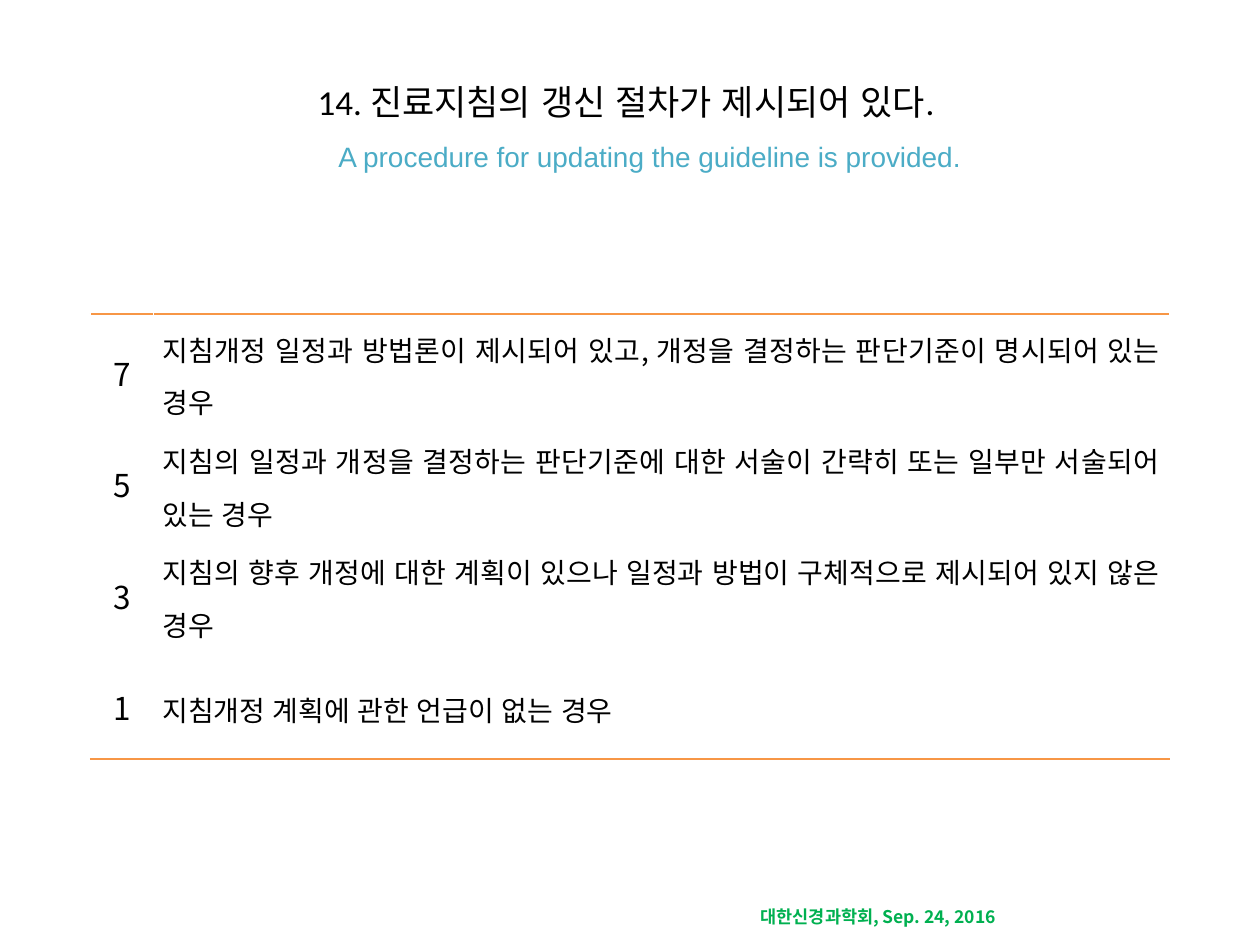
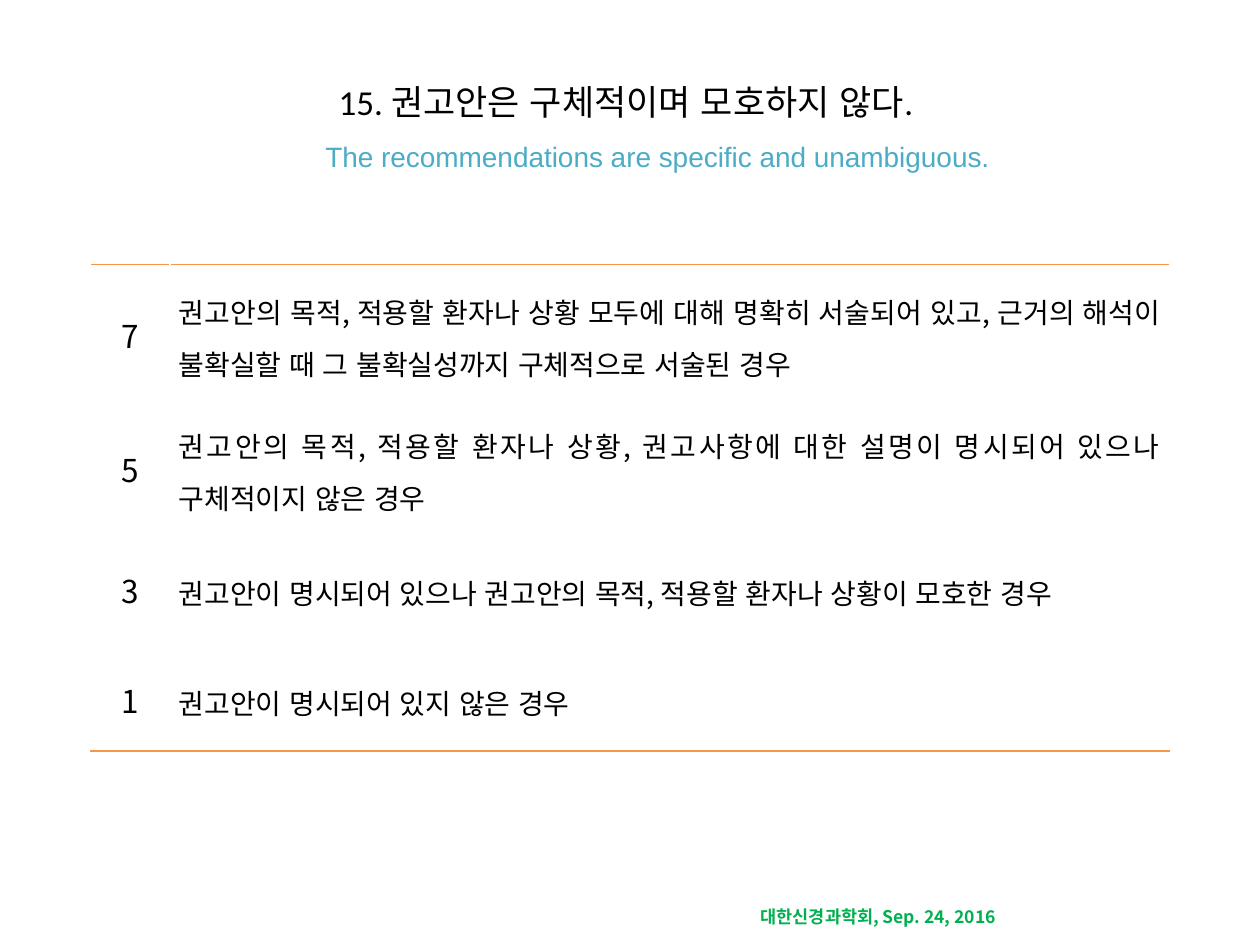
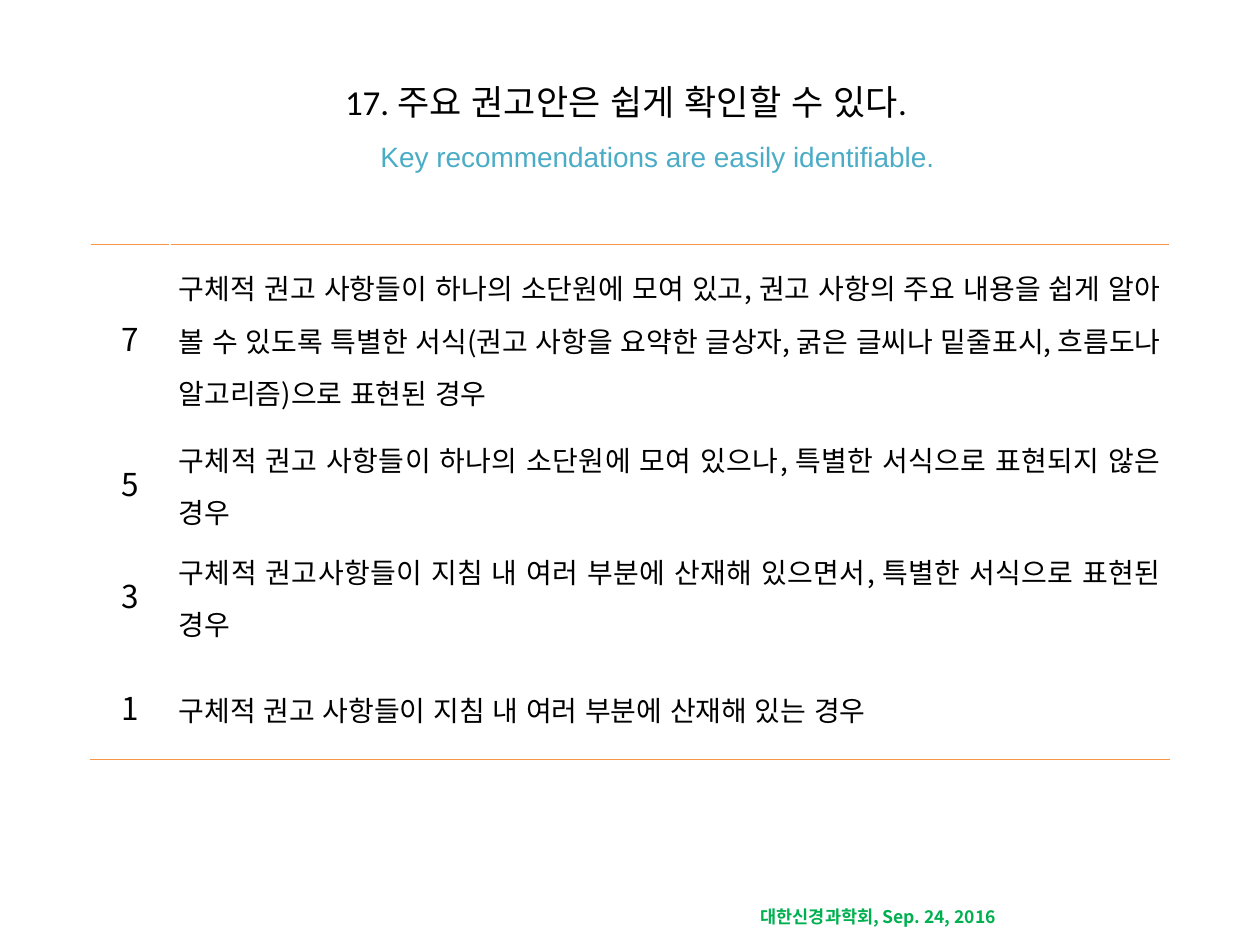
from lxml import etree
from pptx import Presentation
from pptx.dml.color import RGBColor
from pptx.enum.lang import MSO_LANGUAGE_ID as Language
from pptx.enum.text import MSO_ANCHOR as Anchor, PP_ALIGN as Align
from pptx.oxml.ns import qn
from pptx.util import Pt

KOREAN_FONT = "Noto Sans CJK KR"
BLACK, TEAL, GREEN, ORANGE = "000000", "4BACC6", "00B050", "F79646"
TABLE_LEFT, TABLE_WIDTH = 51.84, 616.32
FOOTER = "대한신경과학회, Sep. 24, 2016"

TITLE_STYLE = {"size": 20, "name": "Calibri", "color": BLACK}
SUBTITLE_STYLE = {"size": 16, "name": "Arial", "color": TEAL}
FOOTER_STYLE = {"size": 10, "name": KOREAN_FONT, "color": GREEN, "bold": True}
SCORE_STYLE = {"size": 18, "name": KOREAN_FONT, "color": BLACK}
CRITERION_STYLE = {"size": 16, "name": KOREAN_FONT, "color": BLACK}
SCORE_FORMAT = {"alignment": Align.CENTER, "line_spacing": 1.15, "space_after": Pt(8)}
CRITERION_FORMAT = {"alignment": Align.JUSTIFY, "line_spacing": 1.3}
CELL_FORMAT = {
    "vertical_anchor": Anchor.MIDDLE,
    "margin_left": Pt(5),
    "margin_right": Pt(5),
    "margin_top": 0,
    "margin_bottom": 0,
}

ITEMS = [
    {
        "title": "14. 진료지침의 갱신 절차가 제시되어 있다. ",
        "subtitle": "A procedure for updating the guideline is provided. ",
        "indent": 27,
        "top": 179.3,
        "score_width": 36,
        "row_heights": [63.6] * 4,
        "criteria": {
            7: "지침개정 일정과 방법론이 제시되어 있고, 개정을 결정하는 판단기준이 명시되어 있는 경우",
            5: "지침의 일정과 개정을 결정하는 판단기준에 대한 서술이 간략히 또는 일부만 서술되어 있는 경우",
            3: "지침의 향후 개정에 대한 계획이 있으나 일정과 방법이 구체적으로 제시되어 있지 않은 경우 ",
            1: "지침개정 계획에 관한 언급이 없는 경우",
        },
    },
    {
        "title": "15. 권고안은 구체적이며 모호하지 않다. ",
        "subtitle": "The recommendations are specific and unambiguous. ",
        "indent": 36,
        "top": 151,
        "score_width": 45.36,
        "row_heights": [76.5, 76.5, 62.6, 62.6],
        "criteria": {
            7: "권고안의 목적, 적용할 환자나 상황 모두에 대해 명확히 서술되어 있고, 근거의 해석이 불확실할 때 그 불확실성까지 구체적으로 서술된 경우",
            5: "권고안의 목적, 적용할 환자나 상황, 권고사항에 대한 설명이 명시되어 있으나 구체적이지 않은 경우",
            3: "권고안이 명시되어 있으나 권고안의 목적, 적용할 환자나 상황이 모호한 경우",
            1: "권고안이 명시되어 있지 않은 경우",
        },
    },
    {
        "title": "17. 주요 권고안은 쉽게 확인할 수 있다. ",
        "subtitle": "Key recommendations are easily identifiable. ",
        "indent": 36,
        "top": 139.6,
        "score_width": 45.36,
        "row_heights": [102.4, 64, 64, 64],
        "criteria": {
            7: "구체적 권고 사항들이 하나의 소단원에 모여 있고, 권고 사항의 주요 내용을 쉽게 알아 볼 수 있도록 특별한 서식(권고 사항을 요약한 글상자, 굵은 글씨나 밑줄표시, 흐름도나 알고리즘)으로 표현된 경우",
            5: "구체적 권고 사항들이 하나의 소단원에 모여 있으나, 특별한 서식으로 표현되지 않은 경우",
            3: "구체적 권고사항들이 지침 내 여러 부분에 산재해 있으면서, 특별한 서식으로 표현된 경우 ",
            1: "구체적 권고 사항들이 지침 내 여러 부분에 산재해 있는 경우",
        },
    },
]


def rgb(value):
    """Turn a hex string into a colour."""
    return RGBColor.from_string(value)


def set_attributes(target, values):
    """Set each named attribute of the target."""
    for name, value in values.items():
        setattr(target, name, value)


def add_run(paragraph, text, style):
    """Add a run of text in the given style."""
    run = paragraph.add_run()
    run.text = text
    font = run.font
    font.size = Pt(style["size"])
    font.bold = style.get("bold", False)
    font.color.rgb = rgb(style["color"])
    font.name = style["name"]
    font.language_id = Language.KOREAN
    if style["name"] == KOREAN_FONT:
        properties = run._r.get_or_add_rPr()
        etree.SubElement(properties, qn("a:ea"), typeface=KOREAN_FONT)


def add_text_box(slide, left, top, width, height, anchor=Anchor.TOP):
    """Add a wrapping text box and return its first paragraph."""
    box = slide.shapes.add_textbox(Pt(left), Pt(top), Pt(width), Pt(height))
    set_attributes(box.text_frame, {"word_wrap": True, "vertical_anchor": anchor})
    return box.text_frame.paragraphs[0]


def add_title(slide, title, subtitle, indent):
    """Add the Korean title with its English line below."""
    paragraph = add_text_box(slide, 36, 21.6, 648, 90, Anchor.MIDDLE)
    set_attributes(paragraph, {"alignment": Align.CENTER, "line_spacing": 1.5})
    properties = paragraph._p.get_or_add_pPr()
    properties.set("marL", str(Pt(indent)))
    properties.set("indent", str(-Pt(indent)))
    add_run(paragraph, title, TITLE_STYLE)
    paragraph.add_line_break()
    add_run(paragraph, subtitle, SUBTITLE_STYLE)


def add_border(cell, side):
    """Draw an orange rule on one side of a cell."""
    line = etree.Element(qn(f"a:{side}"), w=str(Pt(1)))
    fill = etree.SubElement(line, qn("a:solidFill"))
    etree.SubElement(fill, qn("a:srgbClr"), val=ORANGE)
    cell._tc.get_or_add_tcPr().insert(0, line)


def fill_cell(cell, text, style, paragraph_format):
    """Write one unfilled table cell."""
    set_attributes(cell, CELL_FORMAT)
    cell.fill.background()
    paragraph = cell.text_frame.paragraphs[0]
    set_attributes(paragraph, paragraph_format)
    add_run(paragraph, text, style)


def add_score_table(slide, top, score_width, row_heights, criteria):
    """Add the table of scores and their criteria."""
    frame = slide.shapes.add_table(
        len(criteria), 2, Pt(TABLE_LEFT), Pt(top), Pt(TABLE_WIDTH), Pt(sum(row_heights))
    )
    table = frame.table
    set_attributes(table, {"first_row": False, "horz_banding": False})
    table.columns[0].width = Pt(score_width)
    table.columns[1].width = Pt(TABLE_WIDTH - score_width)
    for index, (score, criterion) in enumerate(criteria.items()):
        table.rows[index].height = Pt(row_heights[index])
        fill_cell(table.cell(index, 0), str(score), SCORE_STYLE, SCORE_FORMAT)
        fill_cell(table.cell(index, 1), criterion, CRITERION_STYLE, CRITERION_FORMAT)
    for column in range(2):
        add_border(table.cell(0, column), "lnT")
        add_border(table.cell(len(criteria) - 1, column), "lnB")


def add_footer(slide):
    """Add the society name and date."""
    paragraph = add_text_box(slide, 427.7, 514, 175.7, 19.4)
    add_run(paragraph, FOOTER, FOOTER_STYLE)


def main():
    """Build the slides and save them."""
    presentation = Presentation()
    presentation.slide_width, presentation.slide_height = Pt(720), Pt(540)
    for item in ITEMS:
        slide = presentation.slides.add_slide(presentation.slide_layouts[6])
        add_footer(slide)
        add_title(slide, item["title"], item["subtitle"], item["indent"])
        add_score_table(
            slide, item["top"], item["score_width"], item["row_heights"], item["criteria"]
        )
    presentation.save("out.pptx")


if __name__ == "__main__":
    main()
